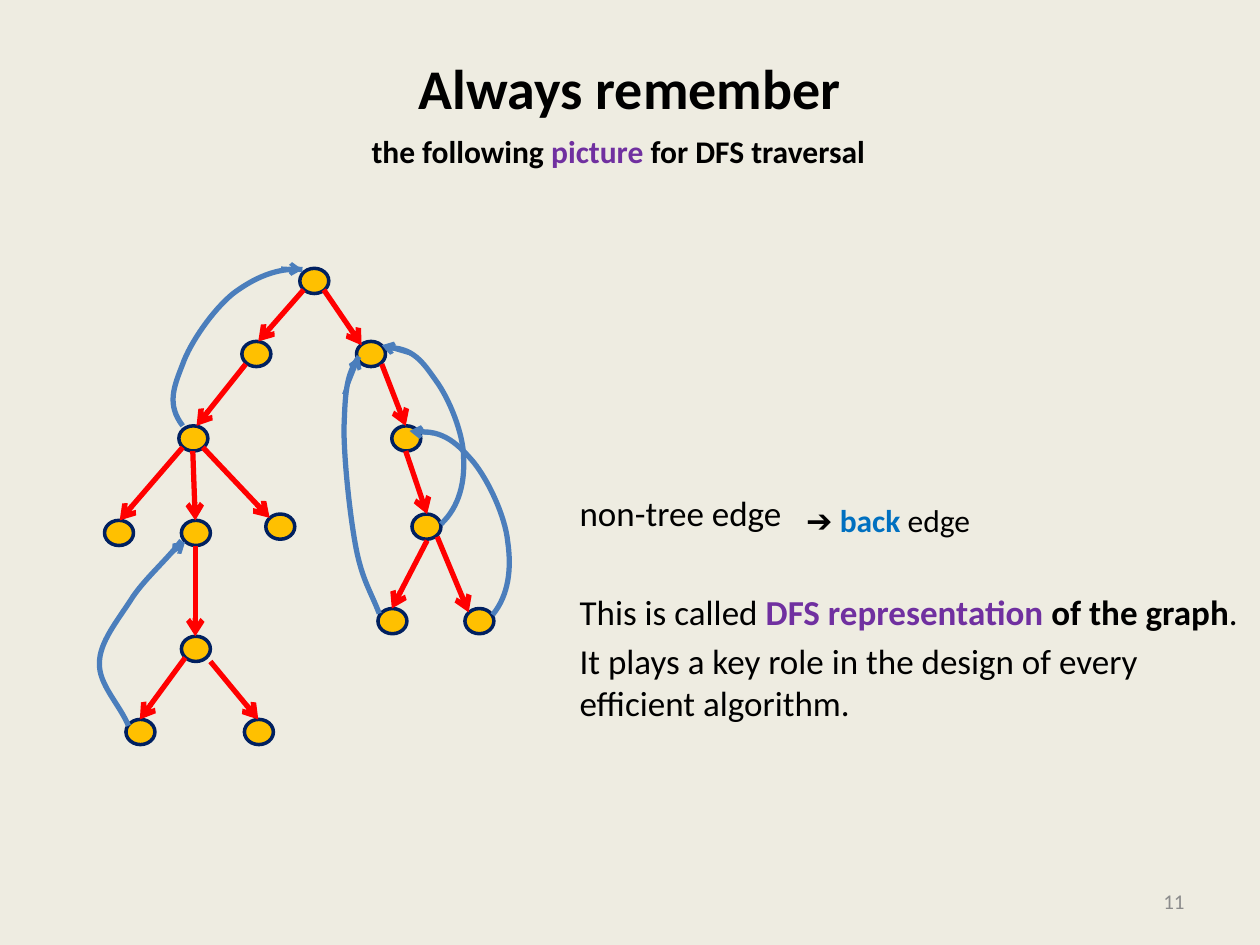
from pptx import Presentation
from pptx.dml.color import RGBColor
from pptx.enum.shapes import MSO_CONNECTOR, MSO_SHAPE
from pptx.enum.text import MSO_ANCHOR, MSO_AUTO_SIZE, PP_ALIGN
from pptx.oxml.ns import qn
from pptx.util import Inches, Pt
from lxml.etree import SubElement

BLACK = RGBColor(0x00, 0x00, 0x00)
GRAY = RGBColor(0x8C, 0x8C, 0x8C)
CREAM = RGBColor(0xEE, 0xEC, 0xE1)
PURPLE = RGBColor(0x70, 0x30, 0xA0)
AZURE = RGBColor(0x00, 0x70, 0xC0)
GOLD = RGBColor(0xFF, 0xC0, 0x00)
NAVY = RGBColor(0x00, 0x20, 0x60)
RED = RGBColor(0xFF, 0x00, 0x00)
BLUE = RGBColor(0x4B, 0x7E, 0xBC)

# Left and top of each tree node
NODES = [
    (2.38, 2.13), (1.92, 2.71), (2.83, 2.71), (1.42, 3.38), (3.11, 3.38),
    (0.83, 4.13), (1.44, 4.13), (2.11, 4.08), (3.27, 4.08), (3, 4.83),
    (3.69, 4.83), (1.44, 5.05), (1, 5.71), (1.94, 5.71),
]
# Tree edges, parent to child
EDGES = [
    (2.41, 2.3, 2.05, 2.71), (2.57, 2.3, 2.87, 2.74),
    (1.95, 2.89, 1.56, 3.38), (3.03, 2.89, 3.22, 3.38),
    (1.45, 3.55, 0.95, 4.13), (1.53, 3.58, 1.55, 4.13),
    (1.61, 3.55, 2.14, 4.11), (3.22, 3.58, 3.39, 4.08),
    (1.55, 4.33, 1.55, 5.05), (3.39, 4.29, 3.11, 4.83),
    (3.47, 4.26, 3.72, 4.86), (1.47, 5.22, 1.11, 5.71),
    (1.67, 5.25, 2.05, 5.71),
]
# Back edges: Bezier points of the curve, then the arrow at its tip
BACKS = [
    ([(3.91, 4.88), (4.04, 4.72), (4.06, 4.51), (4.03, 4.3), (4.01, 4.1),
      (3.88, 3.82), (3.76, 3.67), (3.64, 3.53), (3.52, 3.41), (3.31, 3.43)],
     (3.44, 3.44, 3.25, 3.42)),
    ([(2.4, 2.14), (2.2, 2.12), (2.01, 2.21), (1.85, 2.33), (1.69, 2.46),
      (1.51, 2.72), (1.45, 2.89), (1.38, 3.07), (1.32, 3.21), (1.45, 3.38)],
     (2.23, 2.13, 2.4, 2.14)),
    ([(1.02, 5.76), (0.95, 5.59), (0.78, 5.43), (0.79, 5.26), (0.79, 5.1),
      (0.93, 4.93), (1.04, 4.76), (1.14, 4.6), (1.33, 4.44), (1.44, 4.29)],
     (1.35, 4.4, 1.47, 4.3)),
    ([(3.01, 4.87), (2.94, 4.69), (2.88, 4.61), (2.83, 4.37), (2.78, 4.12),
      (2.73, 3.66), (2.73, 3.4), (2.74, 3.15), (2.74, 2.98), (2.85, 2.83)],
     (2.73, 3.13, 2.85, 2.83)),
    ([(3.5, 4.16), (3.65, 4.02), (3.69, 3.82), (3.68, 3.63), (3.68, 3.45),
      (3.57, 3.17), (3.46, 3.02), (3.36, 2.88), (3.28, 2.75), (3.06, 2.76)],
     (3.27, 2.81, 3.03, 2.74)),
]


class Deck:
    font = "Calibri"

    def __init__(self, prs):
        self.slide = prs.slides.add_slide(prs.slide_layouts[1])
        self.shapes = self.slide.shapes
        fill = self.slide.background.fill
        fill.solid()
        fill.fore_color.rgb = CREAM

    def place(self, shape, box):
        shape.left, shape.top, shape.width, shape.height = map(Inches, box)

    def add_runs(self, para, size, runs):
        """Each run is (text, colour, bold)."""
        for text, color, bold in runs:
            run = para.add_run()
            run.text = text
            font = run.font
            font.name, font.size, font.bold = self.font, Pt(size), bold
            font.color.rgb = color

    def title(self, box, text):
        shape = self.shapes.title
        self.place(shape, box)
        frame = shape.text_frame
        frame.auto_size = MSO_AUTO_SIZE.NONE
        frame.vertical_anchor = MSO_ANCHOR.MIDDLE
        frame.margin_bottom = Inches(0.52)
        para = frame.paragraphs[0]
        para.alignment = PP_ALIGN.CENTER
        self.add_runs(para, 32, [(text, BLACK, True)])

    def body(self, box, top, items):
        """Each item is (space before, runs)."""
        shape = self.slide.placeholders[1]
        self.place(shape, box)
        frame = shape.text_frame
        frame.auto_size = MSO_AUTO_SIZE.NONE
        frame.margin_top = Inches(top)
        for i, (gap, runs) in enumerate(items):
            para = frame.add_paragraph() if i else frame.paragraphs[0]
            para.space_before = Pt(gap)
            props = para._p.get_or_add_pPr()
            props.set("marL", "0")
            props.set("indent", "0")
            SubElement(props, qn("a:buNone"))
            self.add_runs(para, 20, runs)

    def label(self, box, size, runs, align=PP_ALIGN.LEFT, wrap=False):
        frame = self.shapes.add_textbox(*map(Inches, box)).text_frame
        frame.word_wrap = wrap
        frame.vertical_anchor = MSO_ANCHOR.MIDDLE
        para = frame.paragraphs[0]
        para.alignment = align
        self.add_runs(para, size, runs)

    def node(self, x, y):
        dot = self.shapes.add_shape(
            MSO_SHAPE.OVAL, *map(Inches, (x, y, 0.23, 0.2)))
        dot.shadow.inherit = False
        dot.fill.solid()
        dot.fill.fore_color.rgb = GOLD
        dot.line.color.rgb = NAVY
        dot.line.width = Pt(2)

    def arrow(self, ends, color, width):
        line = self.shapes.add_connector(
            MSO_CONNECTOR.STRAIGHT, *map(Inches, ends))
        line.line.color.rgb = color
        line.line.width = Pt(width)
        props = line._element.spPr
        SubElement(props.find(qn("a:ln")), qn("a:tailEnd"), type="arrow")
        SubElement(props, qn("a:effectLst"))

    def curve(self, points):
        first, *rest = [(Inches(x), Inches(y)) for x, y in points]
        pen = self.shapes.build_freeform(*first)
        pen.add_line_segments(rest, close=False)
        shape = pen.convert_to_shape()
        shape.shadow.inherit = False
        shape.fill.background()
        shape.line.color.rgb = BLUE
        shape.line.width = Pt(3)
        # Turn every three segments into one Bezier
        trace = next(shape._element.iter(qn("a:path")))
        steps = trace.findall(qn("a:lnTo"))
        for i in range(0, len(steps), 3):
            bend = SubElement(trace, qn("a:cubicBezTo"))
            for step in steps[i:i + 3]:
                bend.append(step[0])
                trace.remove(step)


def main():
    prs = Presentation()
    prs.slide_width, prs.slide_height = Inches(10), Inches(7.5)
    deck = Deck(prs)

    # Headings and notes
    deck.title((0.5, 0.3, 9, 1.25), "Always remember")
    deck.body((4.5, 1.75, 5.5, 4.95), 2.15, [
        (0, [("non-tree edge", BLACK, False)]),
        (32.4, [("This is called ", BLACK, False),
                ("DFS representation ", PURPLE, True),
                ("of the graph", BLACK, True),
                (".", BLACK, False)]),
        (4, [("It plays a key role in the design of every "
              "efficient algorithm.", BLACK, False)]),
    ])
    deck.label((7.17, 6.95, 2.33, 0.4), 12, [("11", GRAY, False)],
               PP_ALIGN.RIGHT, True)

    # DFS tree
    for spot in NODES:
        deck.node(*spot)
    for ends in EDGES:
        deck.arrow(ends, RED, 3)

    # Back edges
    for points, tip in BACKS:
        deck.curve(points)
        deck.arrow(tip, BLUE, 2.25)

    # Captions
    deck.label((2.85, 1, 4.15, 0.4), 18, [
        ("the following ", BLACK, True), ("picture", PURPLE, True),
        (" for DFS traversal", BLACK, True)])
    deck.label((6.3, 3.93, 1.58, 0.4), 18, [
        ("➔ ", BLACK, False), ("back ", AZURE, True),
        ("edge", BLACK, False)])

    prs.save("out.pptx")


if __name__ == "__main__":
    main()
